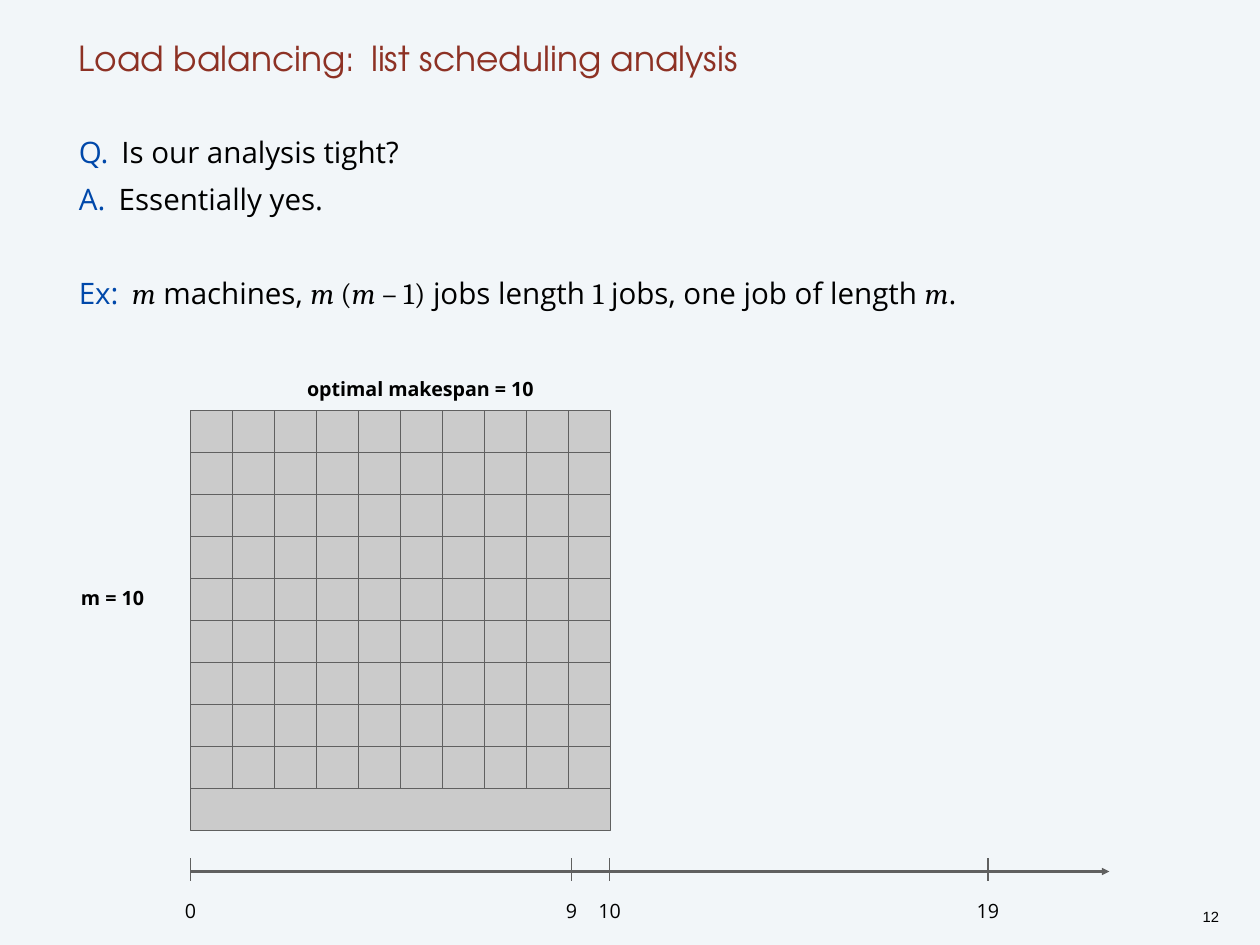
from lxml import etree
from pptx import Presentation
from pptx.dml.color import RGBColor
from pptx.enum.shapes import MSO_CONNECTOR, MSO_SHAPE
from pptx.enum.text import MSO_ANCHOR, MSO_AUTO_SIZE, PP_ALIGN
from pptx.oxml.ns import qn
from pptx.util import Inches, Pt

LEFT, CENTER = PP_ALIGN.LEFT, PP_ALIGN.CENTER
TOP, BOTTOM = MSO_ANCHOR.TOP, MSO_ANCHOR.BOTTOM
GROW, FIXED = MSO_AUTO_SIZE.SHAPE_TO_FIT_TEXT, MSO_AUTO_SIZE.NONE
RECTANGLE, STRAIGHT = MSO_SHAPE.RECTANGLE, MSO_CONNECTOR.STRAIGHT

BLACK, BLUE, RED = "000000", "0048AA", "8D3124"
GRAY, JOB_FILL, PAPER = "606060", "CBCBCB", "F2F6F9"

TITLE = {"name": "TeX Gyre Adventor", "size": Pt(28)}
BODY = {"name": "Open Sans", "size": Pt(24)}
MATH = {"name": "Cambria", "size": Pt(24)}
MATH_ITALIC = {**MATH, "italic": True}
LABEL = {"name": "Open Sans", "size": Pt(16)}
BOLD_LABEL = {**LABEL, "bold": True}
PAGE_NUMBER = {"name": "Arial", "size": Pt(12)}

MACHINES = 10
GRID_LEFT, GRID_TOP, GRID_SIZE = 2.15, 4.64, 4.74
AXIS_Y, AXIS_END = 9.84, 12.52
TICKS = {"0": 2.15, "9": 6.45, "10": 6.88, "19": 11.15}


def color(value):
    return RGBColor.from_string(value)


def add_box(page, left, top, width, height, anchor=TOP, fit=FIXED, wrap=True, inset=0):
    box = page.shapes.add_textbox(Inches(left), Inches(top), Inches(width), Inches(height))
    frame = box.text_frame
    settings = {"word_wrap": wrap, "auto_size": fit, "vertical_anchor": anchor}
    for side in ("left", "right", "top", "bottom"):
        settings[f"margin_{side}"] = Inches(inset)
    for name, value in settings.items():
        setattr(frame, name, value)
    return frame


def fill_para(para, spans, spacing, align=LEFT, tab=None):
    """Write (text, format, colour) spans into a paragraph."""
    para.alignment = align
    para.line_spacing = spacing
    if tab:
        tabs = etree.SubElement(para._p.get_or_add_pPr(), qn("a:tabLst"))
        etree.SubElement(tabs, qn("a:tab"), pos=str(Inches(tab)), algn="l")
    for text, style, ink in spans:
        span = para.add_run()
        span.text = text
        for name, value in style.items():
            setattr(span.font, name, value)
        span.font.color.rgb = color(ink)


def add_label(page, text, left, top, width, height, style=LABEL):
    frame = add_box(page, left, top, width, height, fit=GROW)
    fill_para(frame.paragraphs[0], [(text, style, BLACK)], 1.3, CENTER)


def add_job(group, left, top, width, height):
    job = group.shapes.add_shape(RECTANGLE, Inches(left), Inches(top),
                                 Inches(width), Inches(height))
    job.shadow.inherit = False
    job.fill.solid()
    job.fill.fore_color.rgb = color(JOB_FILL)
    job.line.color.rgb = color(GRAY)
    job.line.width = Pt(0.75)


def add_line(page, x1, y1, x2, y2, width, arrow=False):
    line = page.shapes.add_connector(STRAIGHT, Inches(x1), Inches(y1), Inches(x2), Inches(y2))
    line.line.color.rgb = color(GRAY)
    line.line.width = Pt(width)
    if arrow:
        etree.SubElement(line.line._get_or_add_ln(), qn("a:tailEnd"), type="triangle")
    etree.SubElement(line._element.spPr, qn("a:effectLst"))


def add_question(page):
    lines = [
        ("Q.", 0.48, [("Is our analysis tight?", BODY)]),
        ("A.", 0.45, [("Essentially yes.", BODY)]),
        ("Ex:", 0.6, [("m", MATH_ITALIC), (" machines, ", BODY), ("m ", MATH_ITALIC),
                      ("(", MATH), ("m ", MATH_ITALIC), ("– 1)", MATH),
                      (" jobs length ", BODY), ("1", MATH),
                      (" jobs, one job of length ", BODY), ("m", MATH_ITALIC), (".", BODY)]),
    ]
    frame = add_box(page, 0.89, 1.39, 12.44, 8.94)
    for index, (lead, tab, parts) in enumerate(lines):
        para = frame.add_paragraph() if index else frame.paragraphs[0]
        spans = [(lead + "\t", BODY, BLUE)] + [(text, style, BLACK) for text, style in parts]
        fill_para(para, spans, Pt(38), tab=tab)
    # The example stands one line apart from the answer
    para.space_before = Pt(38)


def add_schedule(page):
    cell = GRID_SIZE / MACHINES
    group = page.shapes.add_group_shape()
    for row in range(MACHINES - 1):
        for column in range(MACHINES):
            add_job(group, GRID_LEFT + column * cell, GRID_TOP + row * cell, cell, cell)
    # The last machine runs the one long job
    add_job(group, GRID_LEFT, GRID_TOP + (MACHINES - 1) * cell, GRID_SIZE, cell)
    add_label(page, "optimal makespan = 10", 2.82, 4.17, 3.85, 0.25, BOLD_LABEL)
    add_label(page, "m = 10", 0.61, 6.54, 1.32, 0.25, BOLD_LABEL)


def add_time_axis(page):
    add_line(page, GRID_LEFT, AXIS_Y, AXIS_END, AXIS_Y, 2, arrow=True)
    for text, x in TICKS.items():
        add_line(page, x, 9.69, x, 9.95, 1.25)
        add_label(page, text, x - 0.38, 10.07, 0.76, 0.21)


def main():
    deck = Presentation()
    deck.slide_width, deck.slide_height = Inches(14.22), Inches(10.67)
    page = deck.slides.add_slide(deck.slide_layouts[6])
    page.background.fill.solid()
    page.background.fill.fore_color.rgb = color(PAPER)

    # Title
    title = add_box(page, 0.89, 0, 12.44, 0.89, anchor=BOTTOM)
    fill_para(title.paragraphs[0], [("Load balancing:\tlist scheduling analysis", TITLE, RED)],
              Pt(38), tab=3.3)

    # Question and example
    add_question(page)

    # Schedule and its time axis
    add_schedule(page)
    add_time_axis(page)

    # Page number
    number = add_box(page, 13.51, 10.22, 0.31, 0.24, fit=GROW, wrap=False, inset=0.04)
    fill_para(number.paragraphs[0], [("12", PAGE_NUMBER, BLACK)], Pt(14), CENTER)

    deck.save("out.pptx")


if __name__ == "__main__":
    main()
